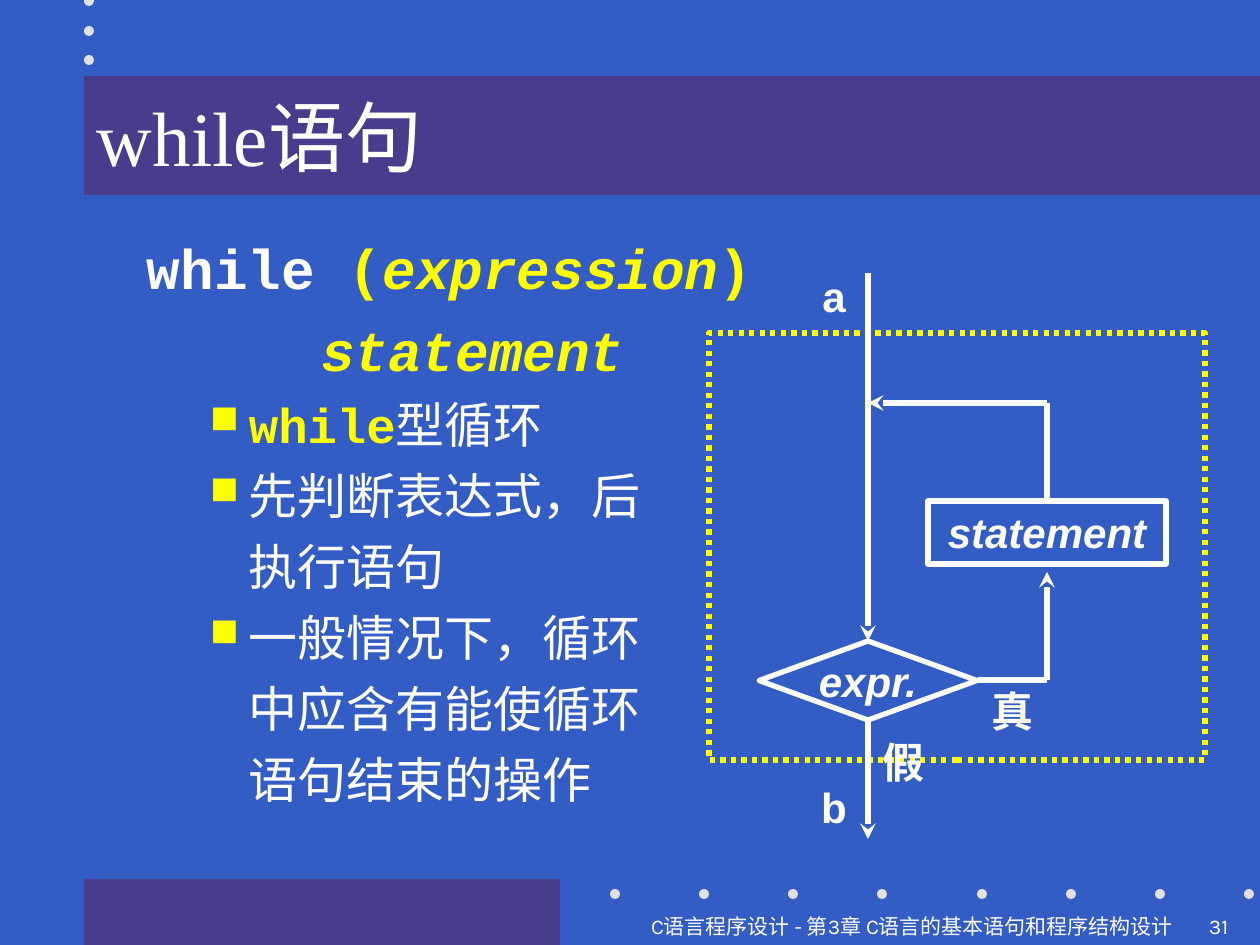
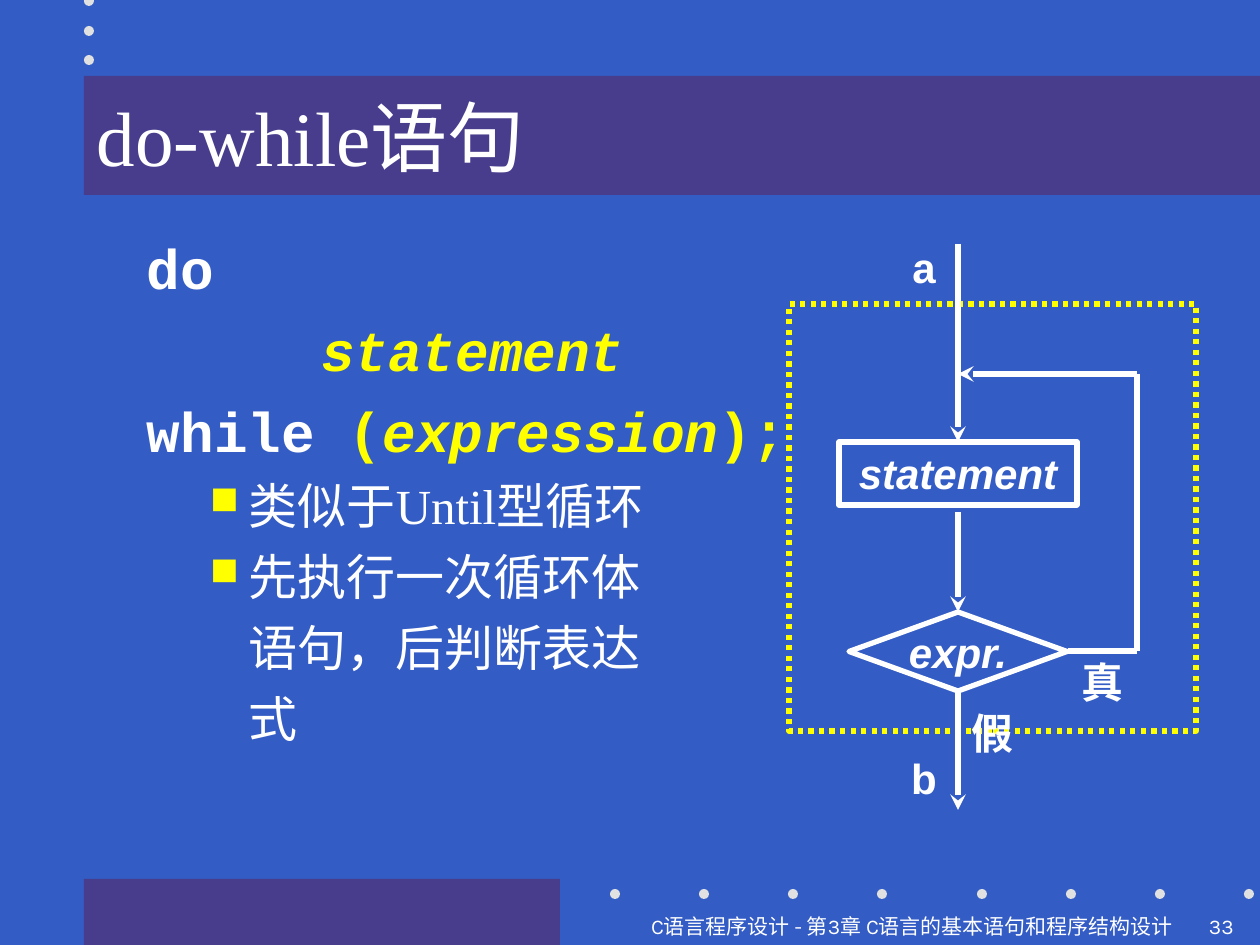
import pptx
import pptx.util
import pptx.dml.color
import pptx.enum.dml
import pptx.enum.shapes
import pptx.enum.text
import pptx.oxml
import pptx.oxml.ns

SHAPE = pptx.enum.shapes.MSO_SHAPE
ALIGN = pptx.enum.text.PP_ALIGN
ANCHOR = pptx.enum.text.MSO_ANCHOR

BLUE, PURPLE, GREY = "335CC5", "473D8C", "E1E1E1"
WHITE, YELLOW = "FFFFFF", "FFFF00"

TITLE = dict(name="Times New Roman", size=44, color=WHITE)
LABEL = dict(name="Arial", size=24, color=WHITE, bold=True)
BOX = dict(LABEL, italic=True)
FOOT = dict(name="Karla", size=12, color=WHITE)
CODE = dict(name="Courier New", size=32, color=WHITE, bold=True)
ARG = dict(CODE, color=YELLOW)
ARG_I = dict(ARG, italic=True)
KEYWORD = dict(ARG, size=28)
MONO_NOTE = dict(name="Courier New", size=28, color=WHITE)
NOTE = dict(MONO_NOTE, name="Times New Roman")

# Paragraph kinds: left indent, first-line indent, space before, level, bullet
CODE_LINE = dict(left=48, first=-48, before=8)
INNER_LINE = dict(left=174, before=8)
ITEM = dict(left=102, first=-39, before=7, level=1, bullet=True)
ITEM_REST = dict(left=102, before=7, level=1)

FOOTER = "C语言程序设计 - 第3章 C语言的基本语句和程序结构设计"


def px(n):
    return pptx.util.Emu(round(n * 914400 / 126))


def rgb(value):
    return pptx.dml.color.RGBColor.from_string(value)


def element(parent, tag, **attrs):
    e = parent.makeelement(pptx.oxml.ns.qn(tag), attrs)
    parent.append(e)
    return e


class Deck:
    def __init__(self):
        self.prs = pptx.Presentation()
        self.prs.slide_width, self.prs.slide_height = px(1260), px(945)
        self.s = None

    def slide(self, title, number):
        self.s = self.prs.slides.add_slide(self.prs.slide_layouts[6])
        fill = self.s.background.fill
        fill.solid()
        fill.fore_color.rgb = rgb(BLUE)
        # Bands and dots
        self.shape(SHAPE.RECTANGLE, 84, 879, 476, 66, fill=PURPLE)
        dots = [(84, y) for y in (-4, 26, 55)]
        dots += [(x + 89 * i, 889) for x in (610, 977) for i in range(4)]
        for x, y in dots:
            self.shape(SHAPE.OVAL, x, y, 10, 10, fill=GREY)
        band = self.shape(SHAPE.RECTANGLE, 84, 76, 1176, 119, fill=PURPLE)
        self.fill_text(band, [(title, TITLE)], anchor=ANCHOR.MIDDLE)
        # Footer
        self.text(0, 908, 1186, 35, FOOTER, FOOT, ALIGN.RIGHT)
        self.text(1196, 908, 64, 35, number, FOOT)

    def shape(self, kind, x, y, w, h, fill=None, line=None, dash=None):
        sp = self.s.shapes.add_shape(kind, px(x), px(y), px(w), px(h))
        sp.shadow.inherit = False
        if fill:
            sp.fill.solid()
            sp.fill.fore_color.rgb = rgb(fill)
        else:
            sp.fill.background()
        if line:
            sp.line.color.rgb = rgb(line)
            sp.line.width = pptx.util.Pt(3)
            if dash:
                sp.line.dash_style = dash
        else:
            sp.line.fill.background()
        return sp

    def frame(self, sp, anchor=ANCHOR.TOP, wrap=True, top=6):
        tf = sp.text_frame
        settings = dict(word_wrap=wrap, vertical_anchor=anchor,
                        margin_left=px(13), margin_right=px(13),
                        margin_top=px(top), margin_bottom=px(6))
        for key, value in settings.items():
            setattr(tf, key, value)
        return tf

    def runs(self, p, runs):
        p.line_spacing = pptx.util.Pt(round(max(f["size"] for _, f in runs) * 1.2, 1))
        for text, fmt in runs:
            r = p.add_run()
            r.text = text
            for key, value in fmt.items():
                if key == "color":
                    r.font.color.rgb = rgb(value)
                else:
                    setattr(r.font, key, pptx.util.Pt(value) if key == "size" else value)

    def fill_text(self, sp, runs, align=ALIGN.LEFT, **frame):
        p = self.frame(sp, **frame).paragraphs[0]
        p.alignment = align
        self.runs(p, runs)

    def text(self, x, y, w, h, text, fmt, align=ALIGN.LEFT):
        sp = self.s.shapes.add_textbox(px(x), px(y), px(w), px(h))
        self.fill_text(sp, [(text, fmt)], align)

    def body(self, paragraphs):
        sp = self.s.shapes.add_textbox(px(134), px(220), px(1063), px(659))
        tf = self.frame(sp, top=14)
        for i, (kind, runs) in enumerate(paragraphs):
            p = tf.add_paragraph() if i else tf.paragraphs[0]
            p.level = kind.get("level", 0)
            p.space_before = pptx.util.Pt(kind["before"] if i else 0)
            self.runs(p, runs)
            pPr = p._p.get_or_add_pPr()
            pPr.set("marL", str(px(kind["left"])))
            pPr.set("indent", str(px(kind.get("first", 0))))
            if kind.get("bullet"):
                element(element(pPr, "a:buClr"), "a:srgbClr", val=YELLOW)
                element(pPr, "a:buSzPct", val="80000")
                element(pPr, "a:buChar", char="■")

    def line(self, x1, y1, x2, y2, arrow=False):
        c = self.s.shapes.add_connector(
            pptx.enum.shapes.MSO_CONNECTOR.STRAIGHT, px(x1), px(y1), px(x2), px(y2))
        c.line.color.rgb = rgb(WHITE)
        c.line.width = pptx.util.Pt(3)
        spPr = c._element.spPr
        if arrow:
            element(spPr.get_or_add_ln(), "a:tailEnd", type="stealth")
        element(spPr, "a:effectLst")

    def label(self, x, y, text):
        self.text(x, y, 110, 63, text, LABEL, ALIGN.CENTER)

    def statement(self, x, y):
        sp = self.shape(SHAPE.RECTANGLE, x, y, 238, 63, line=WHITE)
        self.fill_text(sp, [("statement", BOX)], ALIGN.CENTER)

    def loop(self, x, y, frame_left, frame_width):
        """Parts common to both flowcharts; x is the main axis, y its top."""
        self.shape(SHAPE.RECTANGLE, frame_left, y + 60, frame_width, 427, line=YELLOW,
                   dash=pptx.enum.dml.MSO_LINE.ROUND_DOT)
        sp = self.shape(SHAPE.FLOWCHART_DECISION, x - 109, y + 368, 218, 79, line=WHITE)
        self.fill_text(sp, [("expr.", BOX)], ALIGN.CENTER, anchor=ANCHOR.MIDDLE, wrap=False)
        self.line(x, y + 444, x, y + 566, arrow=True)
        self.line(x + 110, y + 407, x + 179, y + 407)
        self.line(x + 179, y + 130, x, y + 130, arrow=True)
        for dx, dy, text in ((-89, -8, "a"), (-89, 503, "b"), (90, 407, "真"), (-20, 458, "假")):
            self.label(x + dx, y + dy, text)


def while_slide(d):
    d.slide("while语句", "31")
    d.body([
        (CODE_LINE, [("while ", CODE), ("(", ARG), ("expression", ARG_I), (")", ARG)]),
        (INNER_LINE, [("statement", ARG_I)]),
        (ITEM, [("while", KEYWORD), ("型循环", MONO_NOTE)]),
        (ITEM, [("先判断表达式，后", MONO_NOTE)]),
        (ITEM_REST, [("执行语句", MONO_NOTE)]),
        (ITEM, [("一般情况下，循环", MONO_NOTE)]),
        (ITEM_REST, [("中应含有能使循环", MONO_NOTE)]),
        (ITEM_REST, [("语句结束的操作", MONO_NOTE)]),
    ])
    # Test first, statement on the way back
    x, y = 868, 273
    d.loop(x, y, 709, 496)
    d.line(x, y, x, y + 368, arrow=True)
    d.statement(x + 60, y + 228)
    d.line(x + 179, y + 407, x + 179, y + 299, arrow=True)
    d.line(x + 179, y + 228, x + 179, y + 130)


def do_while_slide(d):
    d.slide("do-while语句", "33")
    d.body([
        (CODE_LINE, [("do", CODE)]),
        (INNER_LINE, [("statement", ARG_I)]),
        (CODE_LINE, [("while", CODE), (" (", ARG), ("expression", ARG_I), (");", ARG)]),
        (ITEM, [("类似于Until型循环", NOTE)]),
        (ITEM, [("先执行一次循环体", NOTE)]),
        (ITEM_REST, [("语句，后判断表达", NOTE)]),
        (ITEM_REST, [("式", NOTE)]),
    ])
    # Statement first, then the test
    x, y = 958, 244
    d.loop(x, y, 789, 407)
    d.line(x, y, x, y + 198, arrow=True)
    d.statement(x - 119, y + 198)
    d.line(x, y + 268, x, y + 368, arrow=True)
    d.line(x + 179, y + 407, x + 179, y + 130)


def main():
    d = Deck()
    while_slide(d)
    do_while_slide(d)
    d.prs.save("out.pptx")


if __name__ == "__main__":
    main()
